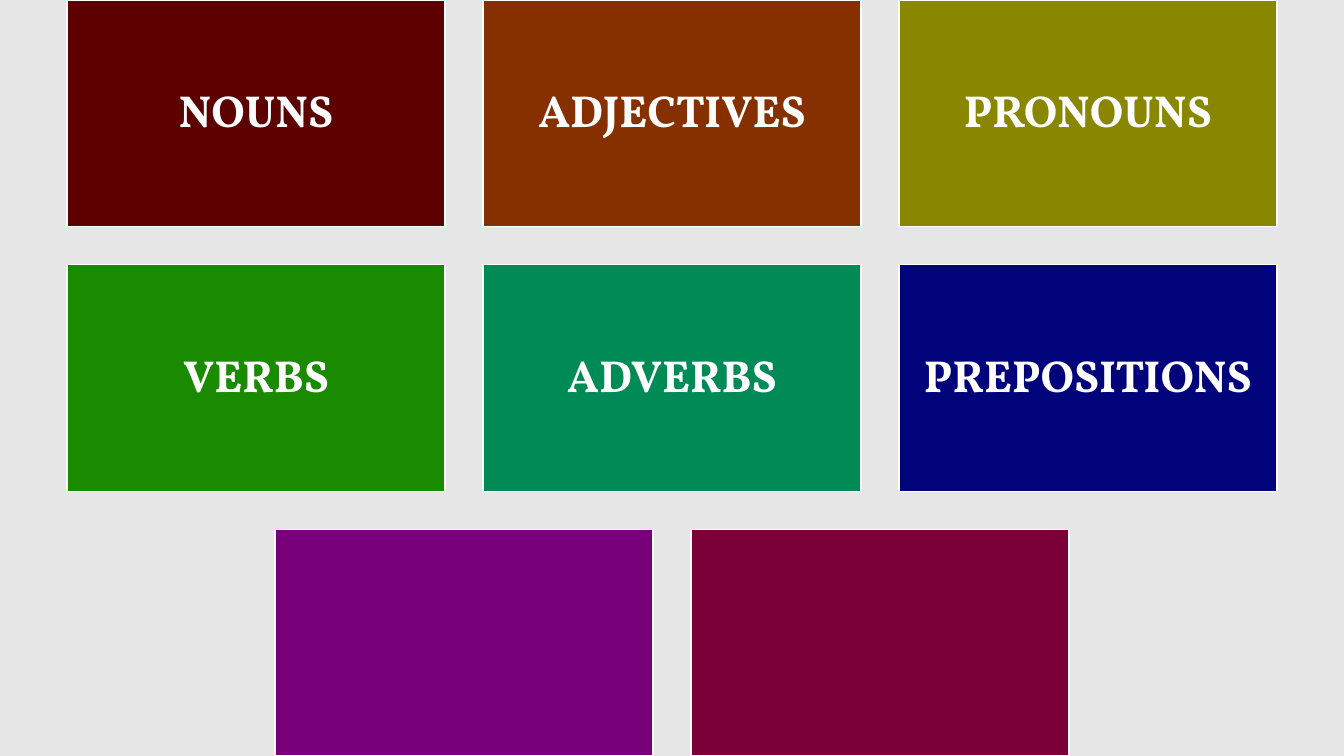
from pptx import Presentation
from pptx.dml.color import RGBColor
from pptx.enum.shapes import MSO_SHAPE as Shape
from pptx.enum.text import MSO_ANCHOR as Anchor, PP_ALIGN as Align
from pptx.util import Inches, Pt

SLIDE_WIDTH, SLIDE_HEIGHT = 13.33, 7.5
CARD_WIDTH, CARD_HEIGHT = 3.75, 2.25
GAP = CARD_WIDTH / 10
INSET = 0.13

BACKGROUND = RGBColor(0xE7, 0xE6, 0xE6)
WHITE = RGBColor(0xFF, 0xFF, 0xFF)
DARK_RED = RGBColor(0x5C, 0x00, 0x00)
BROWN = RGBColor(0x86, 0x30, 0x00)
OLIVE = RGBColor(0x89, 0x86, 0x00)
GREEN = RGBColor(0x1A, 0x8A, 0x00)
TEAL = RGBColor(0x00, 0x8A, 0x55)
NAVY = RGBColor(0x00, 0x03, 0x7A)
PURPLE = RGBColor(0x77, 0x00, 0x7A)
CRIMSON = RGBColor(0x7A, 0x00, 0x37)

WORD_CLASS_ROWS = [
    [("NOUNS", DARK_RED), ("ADJECTIVES", BROWN), ("PRONOUNS", OLIVE)],
    [("VERBS", GREEN), ("ADVERBS", TEAL), ("PREPOSITIONS", NAVY)],
    [("", PURPLE), ("", CRIMSON)],
]


def write_text(shape, text, size=32, font="Vollkorn", color=WHITE, bold=True):
    frame = shape.text_frame
    frame.word_wrap = True
    frame.vertical_anchor = Anchor.MIDDLE
    frame.margin_left = frame.margin_right = Inches(INSET)
    frame.margin_top = frame.margin_bottom = Inches(INSET)
    paragraph = frame.paragraphs[0]
    paragraph.alignment = Align.CENTER
    paragraph.line_spacing = 0.9
    run = paragraph.add_run()
    run.text = text
    run.font.name = font
    run.font.size = Pt(size)
    run.font.bold = bold
    run.font.color.rgb = color


def add_card(slide, left, top, label, color):
    card = slide.shapes.add_shape(
        Shape.RECTANGLE, Inches(left), Inches(top),
        Inches(CARD_WIDTH), Inches(CARD_HEIGHT))
    card.shadow.inherit = False
    card.fill.solid()
    card.fill.fore_color.rgb = color
    card.line.color.rgb = WHITE
    card.line.width = Pt(1)
    if label:
        write_text(card, label)


def add_card_grid(slide, left, top, width, rows):
    """Stack the rows from the top, each centred in the given width."""
    for row_index, row in enumerate(rows):
        row_width = len(row) * (CARD_WIDTH + GAP) - GAP
        row_left = left + (width - row_width) / 2
        row_top = top + row_index * (CARD_HEIGHT + GAP)
        for column, (label, color) in enumerate(row):
            add_card(slide, row_left + column * (CARD_WIDTH + GAP), row_top,
                     label, color)


def main():
    presentation = Presentation()
    presentation.slide_width = Inches(SLIDE_WIDTH)
    presentation.slide_height = Inches(SLIDE_HEIGHT)
    slide = presentation.slides.add_slide(presentation.slide_layouts[6])
    slide.background.fill.solid()
    slide.background.fill.fore_color.rgb = BACKGROUND
    add_card_grid(slide, 0, 0, SLIDE_WIDTH, WORD_CLASS_ROWS)
    presentation.save("out.pptx")


if __name__ == "__main__":
    main()
